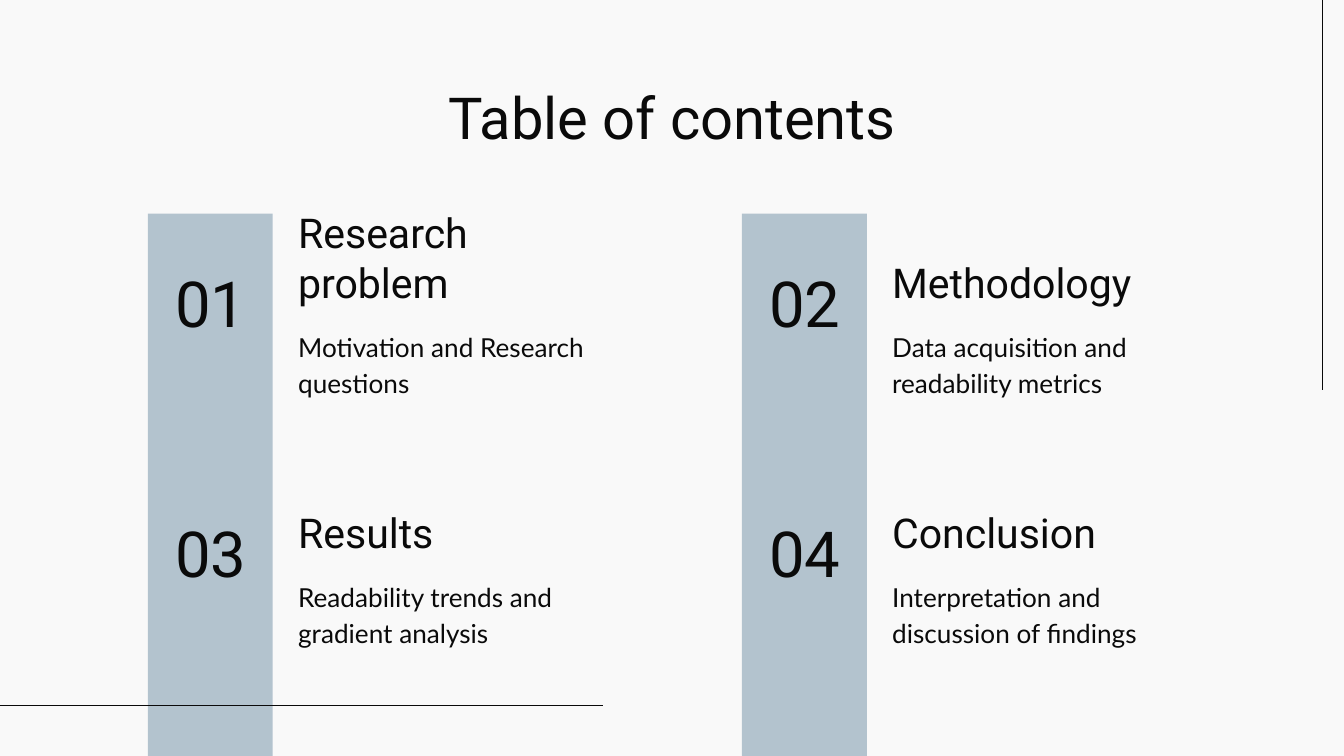
from dataclasses import dataclass

from lxml import etree
from pptx import Presentation
from pptx import util as u
from pptx.dml.color import RGBColor
from pptx.enum import shapes, text
from pptx.oxml.ns import qn
from pptx.slide import Slide

INK = RGBColor(0x0A, 0x0A, 0x0A)
BAR = RGBColor(0xB3, 0xC3, 0xCE)
PAPER = RGBColor(0xF9, 0xF9, 0xF9)

WIDTH = 10
HEIGHT = WIDTH * 9 / 16
COLUMN_LEFT, COLUMN_STEP = 1.1, 4.42
ROW_TOP, ROW_STEP = 1.5, 1.86
BAR_TOP, BAR_WIDTH = 1.59, 0.93


@dataclass(frozen=True)
class Box:
    """Position and size in inches."""
    left: float
    top: float
    width: float
    height: float

    def moved(self, right: float, down: float) -> "Box":
        return Box(self.left + right, self.top + down, self.width, self.height)

    def lengths(self) -> list[u.Length]:
        return [u.Inches(n) for n in (self.left, self.top, self.width, self.height)]


@dataclass(frozen=True)
class Style:
    font: str
    size: float
    anchor: text.MSO_ANCHOR = text.MSO_ANCHOR.TOP
    align: text.PP_ALIGN = text.PP_ALIGN.LEFT
    spacing: float = 1.0


@dataclass(frozen=True)
class Section:
    column: int
    row: int
    number: str
    heading: str
    summary: str


TITLE = Style("Roboto", 31, align=text.PP_ALIGN.CENTER)
NUMBER = Style("Roboto", 34, text.MSO_ANCHOR.MIDDLE, text.PP_ALIGN.CENTER)
HEADING = Style("Roboto", 22, text.MSO_ANCHOR.BOTTOM)
SUMMARY = Style("Lato", 14, spacing=1.15)

# Places within one section, measured from its column and row
NUMBER_BOX = Box(-0.01, 0.12, 0.96, 1.26)
HEADING_BOX = Box(1.02, 0, 2.5, 0.88)
SUMMARY_BOX = Box(1.02, 0.83, 2.5, 0.71)

SECTIONS = (
    Section(0, 0, "01", "Research problem", "Motivation and Research questions"),
    Section(0, 1, "03", "Results", "Readability trends and gradient analysis"),
    Section(1, 0, "02", "Methodology", "Data acquisition and readability metrics"),
    Section(1, 1, "04", "Conclusion", "Interpretation and discussion of findings"),
)


def add_text(slide: Slide, box: Box, words: str, style: Style) -> None:
    frame = slide.shapes.add_textbox(*box.lengths()).text_frame
    frame.word_wrap = True
    frame.vertical_anchor = style.anchor
    frame.margin_left = frame.margin_right = u.Inches(0.1)
    frame.margin_top = frame.margin_bottom = u.Inches(0.1)
    paragraph = frame.paragraphs[0]
    paragraph.alignment = style.align
    paragraph.line_spacing = style.spacing
    run = paragraph.add_run()
    run.text = words
    run.font.name = style.font
    run.font.size = u.Pt(style.size)
    run.font.color.rgb = INK


def add_bar(slide: Slide, column: int) -> None:
    box = Box(COLUMN_LEFT + column * COLUMN_STEP, BAR_TOP, BAR_WIDTH, HEIGHT - BAR_TOP)
    shape = slide.shapes.add_shape(shapes.MSO_SHAPE.RECTANGLE, *box.lengths())
    shape.shadow.inherit = False
    shape.fill.solid()
    shape.fill.fore_color.rgb = BAR
    shape.line.fill.background()


def add_line(slide: Slide, start: tuple[float, float], end: tuple[float, float]) -> None:
    ends = [u.Inches(n) for n in (*start, *end)]
    line = slide.shapes.add_connector(shapes.MSO_CONNECTOR.STRAIGHT, *ends)
    line.line.color.rgb = INK
    line.line.width = u.Pt(0.75)
    etree.SubElement(line._element.spPr, qn("a:effectLst"))


def add_section(slide: Slide, section: Section) -> None:
    left = COLUMN_LEFT + section.column * COLUMN_STEP
    top = ROW_TOP + section.row * ROW_STEP
    add_text(slide, SUMMARY_BOX.moved(left, top), section.summary, SUMMARY)
    add_text(slide, HEADING_BOX.moved(left, top), section.heading, HEADING)
    add_text(slide, NUMBER_BOX.moved(left, top), section.number, NUMBER)


def main() -> None:
    presentation = Presentation()
    presentation.slide_width = u.Inches(WIDTH)
    presentation.slide_height = u.Inches(HEIGHT)
    slide = presentation.slides.add_slide(presentation.slide_layouts[6])
    slide.background.fill.solid()
    slide.background.fill.fore_color.rgb = PAPER

    add_line(slide, (9.84, 2.9), (9.84, 0))
    for column in (1, 0):
        add_bar(slide, column)
    add_line(slide, (0, 5.25), (4.49, 5.25))

    add_text(slide, Box(0.78, 0.51, WIDTH - 2 * 0.78, 0.6), "Table of contents", TITLE)
    for section in SECTIONS:
        add_section(slide, section)
    presentation.save("out.pptx")


if __name__ == "__main__":
    main()
